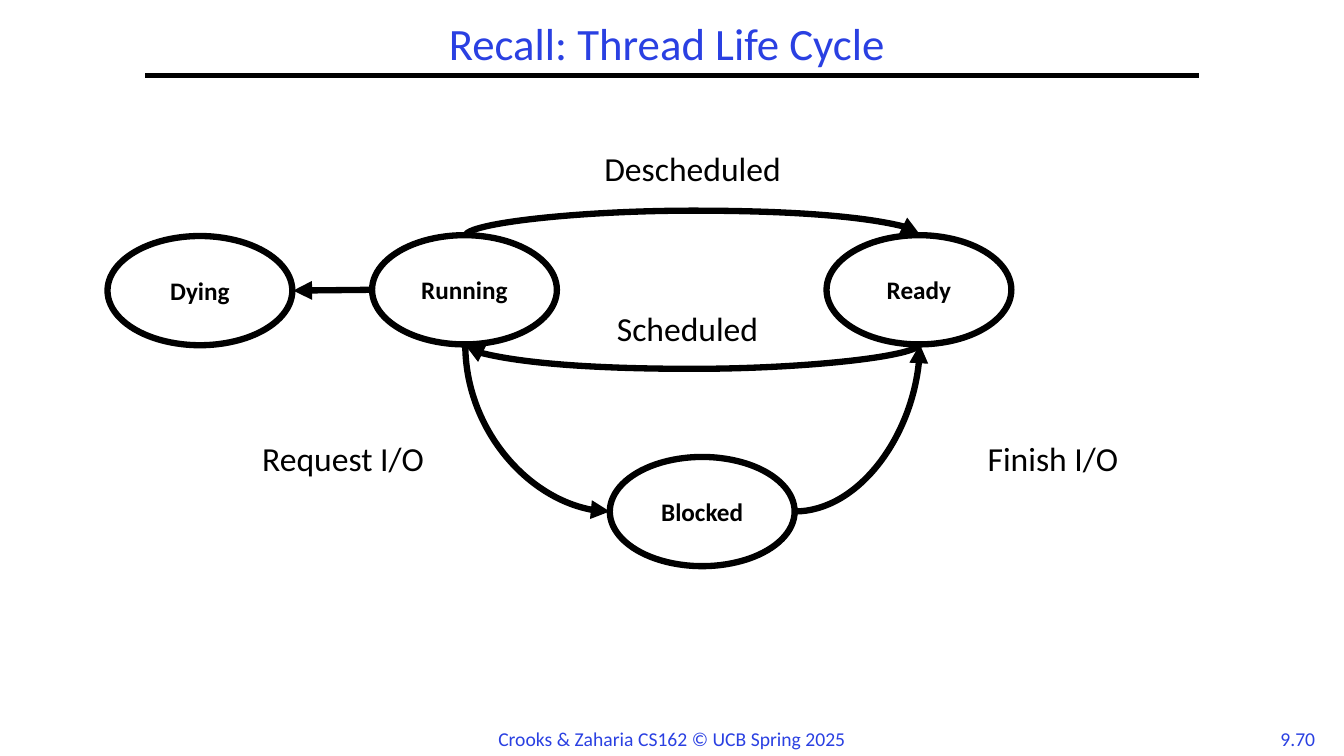
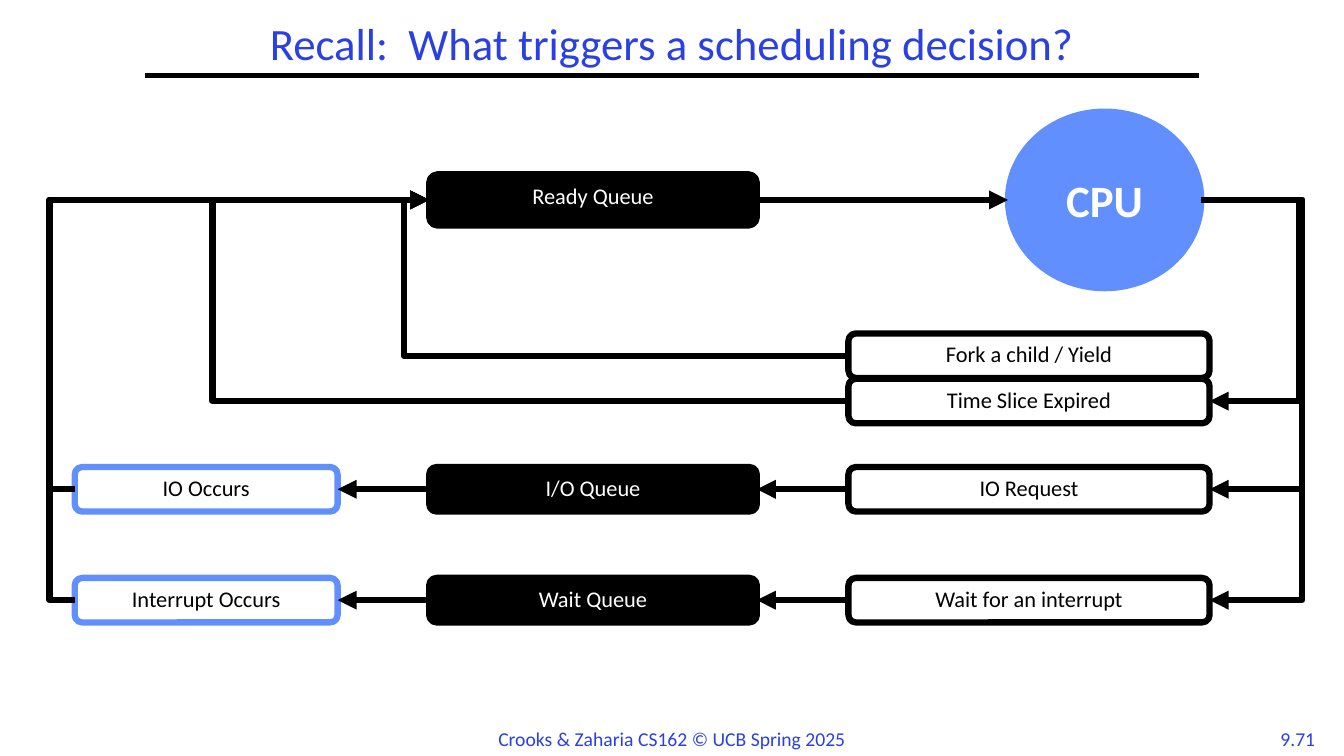
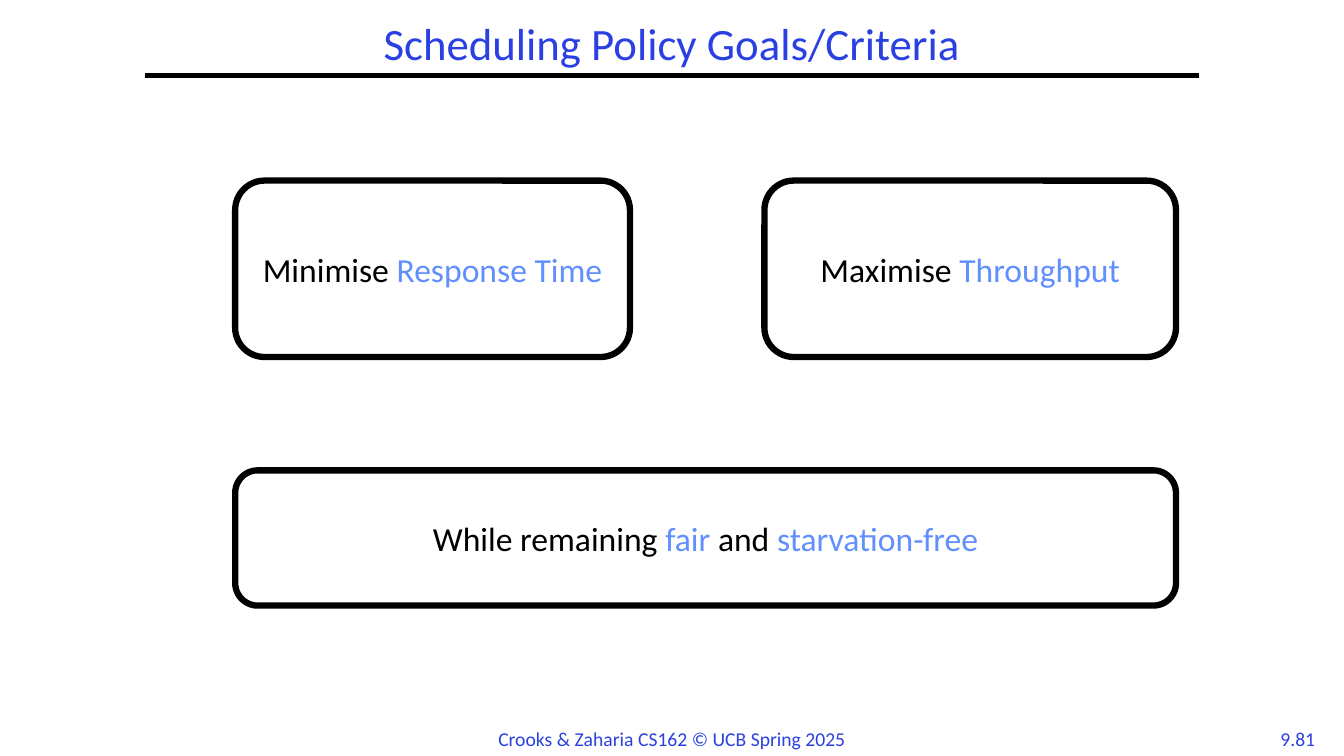
from dataclasses import dataclass
from lxml import etree
from pptx import Presentation
from pptx import util as u
from pptx.dml.color import RGBColor
from pptx.enum import shapes, text
from pptx.oxml.ns import qn

KIND = shapes.MSO_SHAPE
LINE = shapes.MSO_CONNECTOR
LEFT, RIGHT = 1, 3


@dataclass(frozen=True)
class Theme:
    face: str = "Calibri"
    ink: str = "000000"
    paper: str = "FFFFFF"
    head: str = "2A40E2"
    sky: str = "618FFD"
    title: int = 32
    label: int = 24
    state: int = 18
    box: int = 16
    foot: int = 14
    rule: float = 3
    edge: float = 4.5


class Deck:
    COLS, ROWS = 160, 90

    def __init__(self, theme):
        self.look = theme
        self.show = Presentation()
        self.show.slide_width = u.Inches(13.33)
        self.show.slide_height = u.Inches(7.5)

    def col(self, n):
        return round(self.show.slide_width * n / self.COLS)

    def row(self, n):
        return round(self.show.slide_height * n / self.ROWS)

    def area(self, x, y, w, h):
        return self.col(x), self.row(y), self.col(w), self.row(h)

    def page(self, title, num):
        look = self.look
        self.slide = self.show.slides.add_slide(self.show.slide_layouts[6])
        note = dict(size=look.foot, color=look.head, wrap=False)
        self.words((151, 85.9, 7, 4), num, **note)
        self.link((17.3, 9), (142.7, 9), tip=None, width=look.rule)
        self.words((58, 85.9, 44, 4),
                   "Crooks & Zaharia CS162 © UCB Spring 2025", **note)
        self.words((17.3, 2, 125.4, 7), title, size=look.title,
                   color=look.head, space=0.9, anchor=text.MSO_ANCHOR.MIDDLE)

    def fill(self, shape, runs, size, color, bold=False, space=1.0,
             wrap=True, anchor=text.MSO_ANCHOR.TOP):
        frame = shape.text_frame
        form = dict(word_wrap=wrap, vertical_anchor=anchor)
        for key, val in form.items():
            setattr(frame, key, val)
        para = frame.paragraphs[0]
        para.alignment = text.PP_ALIGN.CENTER
        para.line_spacing = space
        if isinstance(runs, str):
            runs = [(runs, color)]
        form = dict(name=self.look.face, size=u.Pt(size), bold=bold)
        for words, tint in runs:
            run = para.add_run()
            run.text = words
            for key, val in form.items():
                setattr(run.font, key, val)
            run.font.color.rgb = RGBColor.from_string(tint)

    def words(self, area, runs, **form):
        box = self.slide.shapes.add_textbox(*self.area(*area))
        self.fill(box, runs, **form)

    def label(self, x, y, words):
        self.words((x, y, 35.3, 6), words, size=self.look.label,
                   color=self.look.ink, space=0.9)

    def node(self, kind, area, words, back=None, edge=None, **form):
        shape = self.slide.shapes.add_shape(kind, *self.area(*area))
        shape.shadow.inherit = False
        shape.fill.solid()
        shape.fill.fore_color.rgb = RGBColor.from_string(back or self.look.paper)
        shape.line.color.rgb = RGBColor.from_string(edge or self.look.ink)
        shape.line.width = u.Pt(self.look.edge)
        self.fill(shape, words, **form)
        return shape

    def state(self, x, y, words):
        self.node(KIND.OVAL, (x, y, 22, 13), words, size=self.look.state,
                  color=self.look.ink, bold=True,
                  anchor=text.MSO_ANCHOR.MIDDLE)

    def step(self, x, y, w, words, h=5.3, color=None, **form):
        return self.node(KIND.ROUNDED_RECTANGLE, (x, y, w, h), words,
                         size=self.look.box, color=color or self.look.ink,
                         **form)

    def goal(self, area, *runs):
        self.node(KIND.ROUNDED_RECTANGLE, area, runs, size=self.look.label,
                  color=self.look.ink, anchor=text.MSO_ANCHOR.MIDDLE)

    def link(self, start, end, kind=LINE.STRAIGHT, tip="tailEnd", width=None,
             bend=None, preset=None):
        line = self.slide.shapes.add_connector(
            kind, self.col(start[0]), self.row(start[1]),
            self.col(end[0]), self.row(end[1]))
        line.line.color.rgb = RGBColor.from_string(self.look.ink)
        line.line.width = u.Pt(width or self.look.edge)
        props = line._element.spPr
        etree.SubElement(props, qn("a:effectLst"))
        if tip:
            etree.SubElement(props.find(qn("a:ln")), qn("a:" + tip),
                             type="triangle")
        geom = props.find(qn("a:prstGeom"))
        if preset:
            geom.set("prst", preset)
        if bend is not None:
            vals = geom.find(qn("a:avLst"))
            if vals is None:
                vals = etree.SubElement(geom, qn("a:avLst"))
            etree.SubElement(vals, qn("a:gd"), name="adj1",
                             fmla=f"val {round(bend * 100000)}")
        return line

    def join(self, first, side, last, end):
        line = self.link((0, 0), (1, 1))
        line.begin_connect(first, side)
        line.end_connect(last, end)

    def bent(self, start, end, via):
        self.link(start, end, LINE.ELBOW,
                  bend=(via - start[0]) / (end[0] - start[0]))

    def arc(self, start, end, y, rise=3, thin=0.17):
        mid = (start + end) / 2
        half = (start - end) / 2
        slim = thin / 2 if half > 0 else -thin / 2
        line = self.link((mid - slim, y - half), (mid + slim, y + half),
                         LINE.CURVE, bend=rise / thin)
        line.rotation = 90

    def turn(self, start, end, tip):
        self.link(start, end, LINE.CURVE, tip, preset="curvedConnector2")


def cycle(deck):
    deck.page("Recall: Thread Life Cycle ", "9.70")
    for x, y, words in ((44.3, 28, "Running"), (98.4, 28, "Ready"),
                        (72.6, 54.4, "Blocked"), (12.8, 28.1, "Dying")):
        deck.state(x, y, words)
    run, ready = 55.4, 109.5
    deck.arc(run, ready, 28)
    deck.arc(ready, run, 41)
    deck.turn((72.6, 60.9), (run, 41), "headEnd")
    deck.turn((94.6, 60.9), (ready, 41), "tailEnd")
    deck.link((44.3, 34.5), (34.9, 34.6))
    for x, y, words in ((23.2, 52.1, "Request I/O"), (107.7, 52.1, "Finish I/O"),
                        (64.8, 17.6, "Descheduled"), (64.2, 36.6, "Scheduled")):
        deck.label(x, y, words)


def queues(deck):
    look = deck.look
    deck.page("Recall:  What triggers a scheduling decision?", "9.71")
    deck.node(KIND.OVAL, (120, 13.3, 23, 21), "CPU", look.sky, look.sky,
              size=look.title, color=look.paper, bold=True,
              anchor=text.MSO_ANCHOR.MIDDLE)
    dark = dict(back=look.ink, color=look.paper)
    deck.step(51.1, 20.75, 39, "Ready Queue", h=6.1, **dark)
    main, half = 23.8, 2.65
    deck.link((90.1, main), (120, main))
    for y, via, ask, wait, done in (
            (68.8, 155, "Wait for an interrupt", "Wait Queue", "Interrupt Occurs"),
            (55.6, 155, "IO Request", "I/O Queue", "IO Occurs")):
        right = deck.step(101, y, 43, ask)
        queue = deck.step(51.1, y, 39, wait, **dark)
        left = deck.step(8.9, y, 31.3, done, edge=look.sky)
        deck.join(right, LEFT, queue, RIGHT)
        deck.join(queue, LEFT, left, RIGHT)
        deck.bent((143, main), (144, y + half), via)
        deck.bent((8.9, y + half), (51.1, main), 5.9)
    for y, via, words in ((45.1, 25.3, "Time Slice Expired"),
                          (39.7, 48.1, "Fork a child / Yield")):
        deck.step(101, y, 43, words)
        deck.bent((101, y + half), (51.1, main), via)
    deck.bent((143, main), (144, 45.1 + half), 154.7)


def goals(deck):
    ink, sky = deck.look.ink, deck.look.sky
    deck.page("Scheduling Policy Goals/Criteria", "9.81")
    deck.goal((28, 21.5, 47, 21), ("Minimise ", ink), ("Response Time", sky))
    deck.goal((91, 21.5, 49, 21), ("Maximise ", ink), ("Throughput", sky))
    deck.goal((28, 56, 112, 16.1), ("While remaining ", ink), ("fair", sky),
              (" and ", ink), ("starvation-free", sky))


def main():
    deck = Deck(Theme())
    for draw in (cycle, queues, goals):
        draw(deck)
    deck.show.save("out.pptx")


if __name__ == "__main__":
    main()
